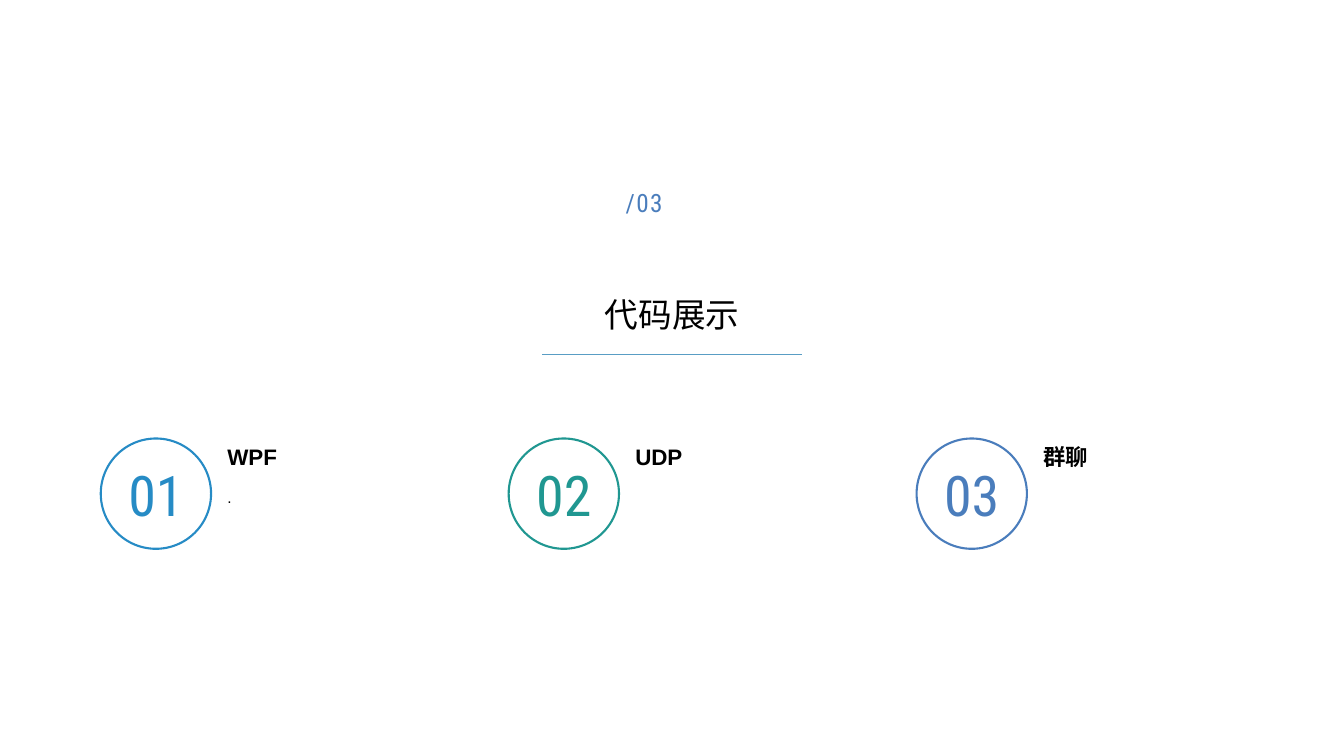
from lxml.etree import SubElement
from pptx import Presentation
from pptx.dml.color import RGBColor
from pptx.enum.shapes import MSO_CONNECTOR, MSO_SHAPE
from pptx.enum.text import MSO_ANCHOR, PP_ALIGN
from pptx.oxml.ns import qn
from pptx.util import Cm, Pt

BLUE = "4A7DBC"
TOPICS = [
    ("WPF", ".", "268BC5"),
    ("UDP", None, "209791"),
    ("群聊", None, BLUE),
]


def rgb(value):
    return RGBColor.from_string(value)


def write(sp, text, size, font="Arial", color="000000", bold=False,
          align=PP_ALIGN.LEFT, anchor=MSO_ANCHOR.TOP, line_spacing=None,
          spacing=None, wrap=True):
    tf = sp.text_frame
    tf.word_wrap = wrap
    tf.vertical_anchor = anchor
    p = tf.paragraphs[0]
    p.alignment = align
    if line_spacing:
        p.line_spacing = line_spacing
    r = p.add_run()
    r.text = text
    r.font.size = Pt(size)
    r.font.name = font
    r.font.bold = bold
    r.font.color.rgb = rgb(color)
    if spacing:
        r.font._element.set("spc", str(spacing * 100))


def add_text(s, left, top, width, height, text, size, **fmt):
    sp = s.shapes.add_textbox(Cm(left), Cm(top), Cm(width), Cm(height))
    write(sp, text, size, **fmt)


def add_heading(s, left, top, width, number, title):
    add_text(s, left + 4.88, top, 2.84, 2.46, number, 18,
             font="Roboto Condensed", color=BLUE, spacing=1)

    sp = s.shapes.title
    sp.left, sp.top = Cm(left), Cm(top + 2.46)
    sp.width, sp.height = Cm(width), Cm(1.83)
    write(sp, title, 24, align=PP_ALIGN.CENTER,
          anchor=MSO_ANCHOR.MIDDLE, line_spacing=0.9)

    middle, y = left + width / 2, Cm(top + 4.34)
    rule = s.shapes.add_connector(MSO_CONNECTOR.STRAIGHT,
                                  Cm(middle - 3.27), y, Cm(middle + 3.27), y)
    rule.line.color.rgb = rgb("599DC4")
    rule.line.width = Pt(1)
    SubElement(rule._element.spPr, qn("a:effectLst"))


def add_topic(s, left, top, number, label, detail, color):
    sp = s.shapes.add_shape(MSO_SHAPE.OVAL, Cm(left), Cm(top), Cm(2.78), Cm(2.78))
    sp.shadow.inherit = False
    sp.fill.background()
    sp.line.color.rgb = rgb(color)
    sp.line.width = Pt(1.5)
    write(sp, number, 40, font="Roboto Condensed", color=color,
          align=PP_ALIGN.CENTER, anchor=MSO_ANCHOR.MIDDLE, wrap=False)

    add_text(s, left + 2.94, top, 6, 1, label, 16, bold=True)
    if detail:
        add_text(s, left + 2.94, top + 1.04, 6, 1.7, detail, 11, line_spacing=1.2)


def main():
    prs = Presentation()
    prs.slide_width, prs.slide_height = Cm(33.87), Cm(19.05)
    s = prs.slides.add_slide(prs.slide_layouts[5])
    add_heading(s, 10.64, 4.6, 12.6, "/03", "代码展示")
    for i, (label, detail, color) in enumerate(TOPICS):
        add_topic(s, 2.54 + i * 10.28, 11.05, f"{i + 1:02}", label, detail, color)
    prs.save("out.pptx")


if __name__ == "__main__":
    main()
